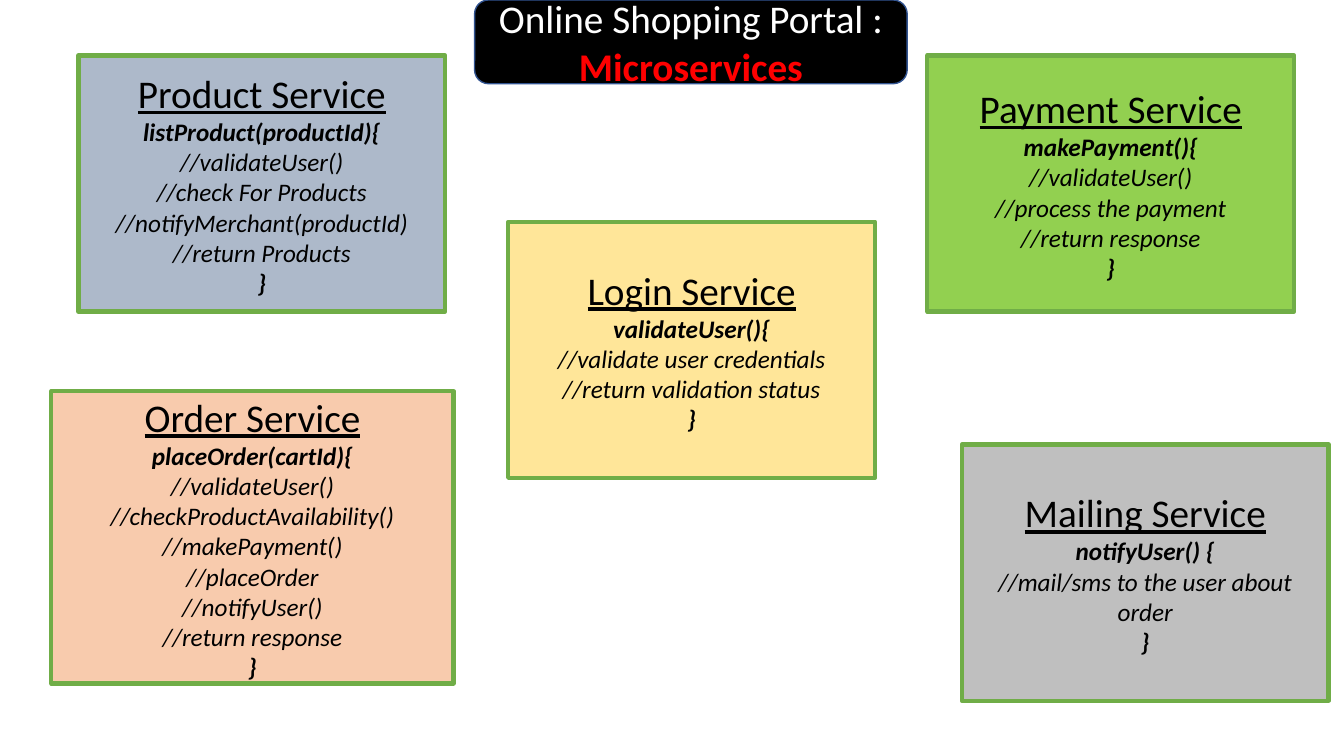
from pptx import Presentation
from pptx.dml.color import RGBColor
from pptx.enum import shapes, text
from pptx.util import Pt

COLORS = {
    "product": "ADB9CA",
    "login": "FFE699",
    "order": "F8CBAD",
    "payment": "92D050",
    "mailing": "BFBFBF",
    "border": "70AD47",
    "title_border": "325491",
    "black": "000000",
    "white": "FFFFFF",
    "red": "FF0000",
}
CARD_SIZE = (262, 183)

# Colour key, box (left, top, width, height), heading, code lines
SERVICES = [
    ("product", (56, 39.6, *CARD_SIZE), "Product Service",
     ["listProduct(productId){", "//validateUser()", "//check For Products",
      "//notifyMerchant(productId)", "//return Products", "}"]),
    ("login", (363, 158.4, *CARD_SIZE), "Login Service",
     ["validateUser(){", "//validate user credentials",
      "//return validation status", "}"]),
    ("order", (36.7, 279.4, 287.3, 208.8), "Order Service",
     ["placeOrder(cartId){", "//validateUser()", "//checkProductAvailability()",
      "//makePayment()", "//placeOrder", "//notifyUser()",
      "//return response", "}"]),
    ("payment", (662.4, 39.6, *CARD_SIZE), "Payment Service",
     ["makePayment(){", "//validateUser()", "//process the payment",
      "//return response", "}"]),
    ("mailing", (687, 317.5, *CARD_SIZE), "Mailing Service",
     ["notifyUser() {", "//mail/sms to the user about order", "}"]),
]


def rgb(name):
    return RGBColor.from_string(COLORS[name])


def add_box(page, kind, bounds, fill, line, weight):
    box = page.shapes.add_shape(kind, *map(Pt, bounds))
    box.shadow.inherit = False
    box.fill.solid()
    box.fill.fore_color.rgb = rgb(fill)
    box.line.color.rgb = rgb(line)
    box.line.width = Pt(weight)
    box.text_frame.word_wrap = True
    box.text_frame.vertical_anchor = text.MSO_ANCHOR.MIDDLE
    return box


def add_span(para, words, size=28, color="black", bold=False, italic=False,
             underline=False):
    para.alignment = text.PP_ALIGN.CENTER
    span = para.add_run()
    span.text = words
    font = span.font
    font.name = "Calibri"
    font.size = Pt(size)
    font.color.rgb = rgb(color)
    font.bold = bold
    font.italic = italic
    font.underline = underline


def add_service(page, color, bounds, heading, code):
    """Draw a service card; its first and last code lines are bold."""
    box = add_box(page, shapes.MSO_SHAPE.RECTANGLE, bounds, color, "border", 3)
    frame = box.text_frame
    add_span(frame.paragraphs[0], heading, underline=True)
    for index, line in enumerate(code):
        add_span(frame.add_paragraph(), line, size=18, italic=True,
                 bold=index in (0, len(code) - 1))


def add_title(page, bounds):
    box = add_box(page, shapes.MSO_SHAPE.ROUNDED_RECTANGLE, bounds,
                  "black", "title_border", 1)
    para = box.text_frame.paragraphs[0]
    add_span(para, "Online Shopping Portal : ", color="white")
    add_span(para, "Microservices", color="red", bold=True)


def main():
    deck = Presentation()
    deck.slide_width, deck.slide_height = Pt(960), Pt(540)
    page = deck.slides.add_slide(deck.slide_layouts[6])
    for service in SERVICES:
        add_service(page, *service)
    add_title(page, (339, 0, 309, 59.8))
    deck.save("out.pptx")


if __name__ == "__main__":
    main()
